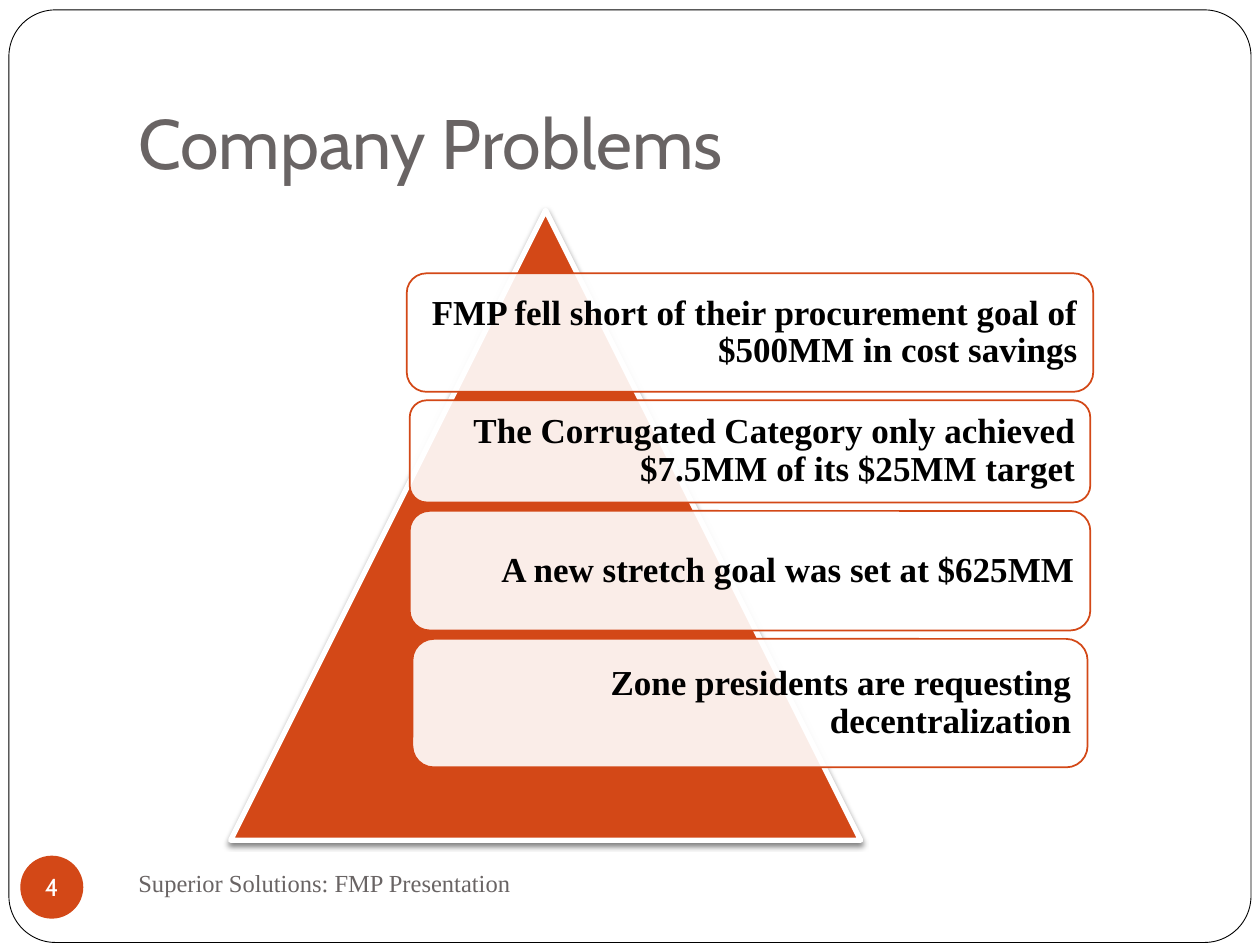
from dataclasses import dataclass
from lxml.etree import SubElement
from pptx import Presentation
from pptx.dml.color import RGBColor
from pptx.enum.shapes import MSO_SHAPE
from pptx.enum.text import MSO_ANCHOR, PP_ALIGN
from pptx.oxml.ns import qn
from pptx.util import Cm, Pt


@dataclass(frozen=True)
class Theme:
    accent: str = "D34817"
    white: str = "FFFFFF"
    black: str = "000000"
    grey: str = "696464"
    head: str = "Cabin"
    body: str = "Times New Roman"
    title: int = 40
    card: int = 20
    small: int = 14


T = Theme()

# Width, height and text of each card, in cm
CARDS = [
    (13.84, 2.39, "FMP fell short of their procurement goal of $500MM in cost savings"),
    (13.72, 2.06, "The Corrugated Category only achieved $7.5MM of its $25MM target"),
    (13.72, 2.41, "A new stretch goal was set at $625MM"),
    (13.61, 2.59, "Zone presidents are requesting decentralization"),
]


def rgb(code):
    return RGBColor.from_string(code)


def draw(slide, kind, box, fill, line=None, width=1):
    shape = slide.shapes.add_shape(kind, *map(Cm, box))
    shape.shadow.inherit = False
    shape.fill.solid()
    shape.fill.fore_color.rgb = rgb(fill)
    if line:
        shape.line.color.rgb = rgb(line)
        shape.line.width = Pt(width)
    else:
        shape.line.fill.background()
    return shape


def write(shape, text, font, size, color, align=PP_ALIGN.LEFT,
          anchor=MSO_ANCHOR.MIDDLE, pads=(0.25, 0.13, 0.25, 0.13), bold=False, wrap=True):
    frame = shape.text_frame
    frame.word_wrap = wrap
    frame.vertical_anchor = anchor
    (frame.margin_left, frame.margin_top,
     frame.margin_right, frame.margin_bottom) = map(Cm, pads)
    para = frame.paragraphs[0]
    para.alignment = align
    run = para.add_run()
    run.text = text
    run.font.name = font
    run.font.size = Pt(size)
    run.font.bold = bold
    run.font.color.rgb = rgb(color)
    return para


def fade(shape, percent):
    color = shape.fill._xPr.find(qn("a:solidFill"))[0]
    SubElement(color, qn("a:alpha"), val=str(percent * 1000))


def shade(shape):
    effects = shape.element.spPr.find(qn("a:effectLst"))
    outer = SubElement(effects, qn("a:outerShdw"), blurRad=str(Pt(3)),
                       dist=str(Pt(2)), dir="5400000", rotWithShape="0")
    color = SubElement(outer, qn("a:srgbClr"), val=T.black)
    SubElement(color, qn("a:alpha"), val="50000")


def frame(slide, box):
    panel = draw(slide, MSO_SHAPE.ROUNDED_RECTANGLE, box, T.white, T.black, 0.5)
    panel.adjustments[0] = 0.05


def title(slide, box):
    label = slide.shapes.add_textbox(*map(Cm, box))
    write(label, "Company Problems", T.head, T.title, T.grey,
          anchor=MSO_ANCHOR.BOTTOM, pads=(0.25, 0.13, 0.25, 0.25))


def pyramid(slide, box):
    left, top, width, height = box
    # Triangle is as wide as it is high
    peak = draw(slide, MSO_SHAPE.ISOSCELES_TRIANGLE, (left, top, height, height),
                T.accent, T.white, 3)
    shade(peak)
    # Cards share one centre line and stack with an equal gap
    middle, y, gap = left + width - 6.92, top + 1.27, 0.17
    for wide, high, text in CARDS:
        card = draw(slide, MSO_SHAPE.ROUNDED_RECTANGLE,
                    (middle - wide / 2, y, wide, high), T.white, T.accent)
        fade(card, 90)
        para = write(card, text, T.body, T.card, T.black, PP_ALIGN.RIGHT,
                     pads=(0.2,) * 4, bold=True)
        para.line_spacing = 0.9
        y += high + gap


def footer(slide, box):
    left, top, width, height = box
    label = slide.shapes.add_textbox(Cm(left + 2.13), Cm(top), Cm(width - 2.13), Cm(height))
    write(label, "Superior Solutions: FMP Presentation", T.body, T.small, T.grey)
    badge = draw(slide, MSO_SHAPE.OVAL, (left, top + 0.1, height, height), T.accent)
    write(badge, "4", T.head, T.small, T.white, PP_ALIGN.CENTER, pads=(0,) * 4, wrap=False)


def main():
    deck = Presentation()
    deck.slide_width, deck.slide_height = Cm(25.4), Cm(19.05)
    slide = deck.slides.add_slide(deck.slide_layouts[6])
    frame(slide, (0.18, 0.2, 25.04, 18.8))
    title(slide, (2.54, 0.76, 21.59, 3.18))
    pyramid(slide, (4.65, 4.24, 17.39, 12.7))
    footer(slide, (0.41, 17.15, 13.13, 1.27))
    deck.save("out.pptx")


if __name__ == "__main__":
    main()
